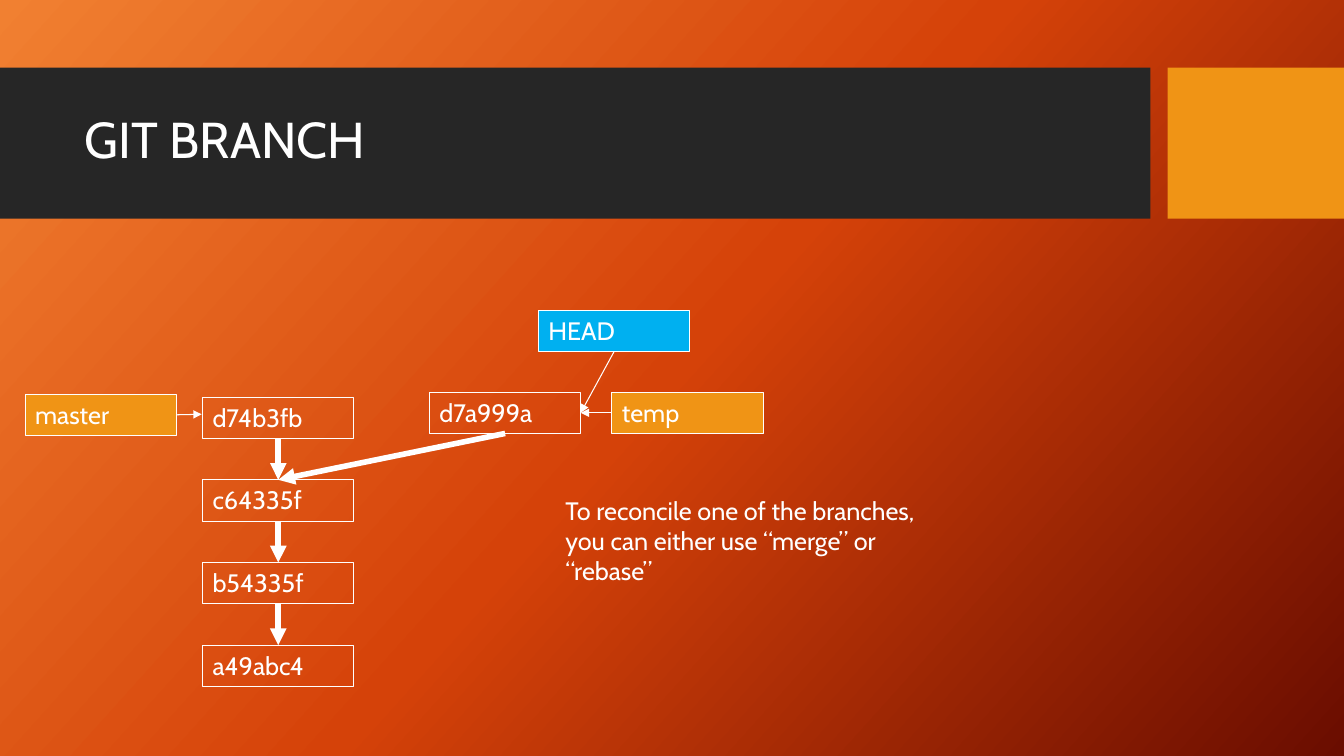
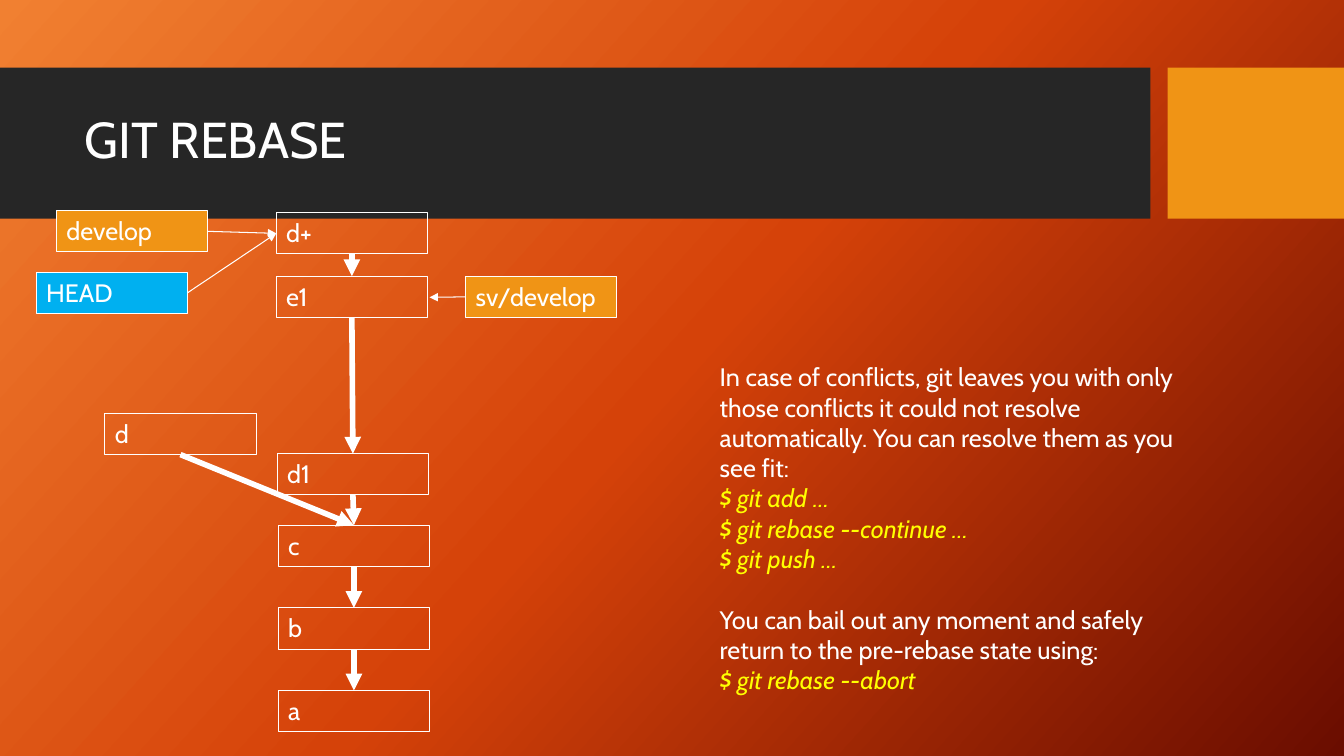
from copy import deepcopy

from lxml import etree
from pptx import Presentation
from pptx.dml.color import RGBColor
from pptx.enum.shapes import MSO_CONNECTOR, MSO_SHAPE
from pptx.enum.text import MSO_ANCHOR, MSO_AUTO_SIZE, PP_ALIGN
from pptx.oxml.ns import qn
from pptx.util import Inches, Pt

RECTANGLE = MSO_SHAPE.RECTANGLE
STRAIGHT = MSO_CONNECTOR.STRAIGHT
LEFT_ALIGN = PP_ALIGN.LEFT
TOP_ANCHOR, MIDDLE_ANCHOR = MSO_ANCHOR.TOP, MSO_ANCHOR.MIDDLE
GROW = MSO_AUTO_SIZE.SHAPE_TO_FIT_TEXT
TOP, LEFT, BOTTOM, RIGHT = range(4)

FONT = "Cabin"
WHITE, YELLOW, ORANGE, BLUE, DARK = "FFFFFF", "FFFF00", "F09415", "00B0F0", "262626"
GRADIENT = [(0, "F18031"), (0.5, "D54209"), (1, "6A0D00")]
GRADIENT_ANGLE = 360 - 42
BANDS = [((0, 0.67, 11.41, 1.5), DARK), ((11.58, 0.67, 1.75, 1.5), ORANGE)]
TITLE_BOX = (0.74, 0.82, 10.51, 1.18)
BOX_SIZE = (1.5, 0.41)
ROW_STEP = 0.82
THIN, THICK = 0.75, 4
LINE_HEIGHT = 21.9

TITLE_FORMAT = {"size": Pt(36), "name": FONT}
BODY_FORMAT = {"size": Pt(18), "name": FONT}
COMMAND_FORMAT = {**BODY_FORMAT, "italic": True}


def column(names, left, top):
    return [(name, left, round(top + row * ROW_STEP, 2), None) for row, name in enumerate(names)]


SLIDES = [
    {
        "title": "GIT BRANCH",
        "boxes": column(["d74b3fb", "c64335f", "b54335f", "a49abc4"], 2.01, 3.94) + [
            ("d7a999a", 4.26, 3.89, None),
            ("master", 0.25, 3.91, ORANGE),
            ("temp", 6.07, 3.89, ORANGE),
            ("HEAD", 5.34, 3.08, BLUE),
        ],
        "parents": [("d74b3fb", "c64335f"), ("c64335f", "b54335f"),
                    ("b54335f", "a49abc4"), ("d7a999a", "c64335f")],
        "pointers": [("master", RIGHT, (2.0, 4.11), LEFT),
                     ("temp", LEFT, "d7a999a", RIGHT),
                     ("HEAD", BOTTOM, "d7a999a", RIGHT)],
        "note_box": (5.51, 4.86, 3.87, 1.01),
        "note": [("To reconcile one of the branches, you can either use “merge” or “rebase”", False, 0)],
    },
    {
        "title": "GIT REBASE",
        "boxes": column(["c", "b", "a"], 2.76, 5.21) + [
            ("d1", 2.75, 4.5, None),
            ("e1", 2.74, 2.74, None),
            ("d+", 2.74, 2.11, None),
            ("d", 1.04, 4.1, None),
            ("develop", 0.56, 2.09, ORANGE),
            ("sv/develop", 4.62, 2.74, ORANGE),
            ("HEAD", 0.36, 2.7, BLUE),
        ],
        "parents": [("d+", "e1"), ("e1", "d1"), ("d1", "c"), ("d", "c"), ("c", "b"), ("b", "a")],
        "pointers": [("develop", RIGHT, "d+", LEFT),
                     ("HEAD", RIGHT, "d+", LEFT),
                     ("sv/develop", LEFT, (4.26, 2.95), RIGHT)],
        "note_box": (7.04, 3.54, 5.03, 3.43),
        "note": [
            ("In case of conflicts, git leaves you with only those conflicts it could not "
             "resolve automatically. You can resolve them as you see fit:", False, 0),
            ("$ git add …", True, 0),
            ("$ git rebase --continue …", True, 0),
            ("$ git push …", True, 0),
            ("You can bail out any moment and safely return to the pre-rebase state using:",
             False, LINE_HEIGHT),
            ("$ git rebase --abort", True, 0),
        ],
    },
]


def rgb(value):
    return RGBColor.from_string(value)


def lengths(values):
    return [Inches(value) for value in values]


def write(paragraph, text, formats, color):
    paragraph.alignment = LEFT_ALIGN
    run = paragraph.add_run()
    run.text = text
    for name, value in formats.items():
        setattr(run.font, name, value)
    run.font.color.rgb = rgb(color)


def set_frame(frame, anchor, auto_size=None):
    frame.word_wrap = True
    frame.vertical_anchor = anchor
    if auto_size is not None:
        frame.auto_size = auto_size


def add_rectangle(slide, box, fill=None, line=None):
    shape = slide.shapes.add_shape(RECTANGLE, *lengths(box))
    shape.shadow.inherit = False
    if fill:
        shape.fill.solid()
        shape.fill.fore_color.rgb = rgb(fill)
    else:
        shape.fill.background()
    if line:
        shape.line.color.rgb = rgb(line)
        shape.line.width = Pt(THIN)
    else:
        shape.line.fill.background()
    return shape


def add_box(slide, name, left, top, fill):
    shape = add_rectangle(slide, (left, top, *BOX_SIZE), fill, WHITE)
    set_frame(shape.text_frame, TOP_ANCHOR, GROW)
    write(shape.text_frame.paragraphs[0], name, BODY_FORMAT, WHITE)
    return shape


def add_arrow(slide, boxes, source, source_side, target, target_side, width):
    end = lengths(target) if isinstance(target, tuple) else (0, 0)
    connector = slide.shapes.add_connector(STRAIGHT, 0, 0, *end)
    connector.begin_connect(boxes[source], source_side)
    if target in boxes:
        connector.end_connect(boxes[target], target_side)
    connector.line.color.rgb = rgb(WHITE)
    connector.line.width = Pt(width)
    outline = connector.line._get_or_add_ln()
    etree.SubElement(outline, qn("a:tailEnd"), type="triangle")
    etree.SubElement(connector.element.spPr, qn("a:effectLst"))


def add_note(slide, box, lines):
    frame = slide.shapes.add_textbox(*lengths(box)).text_frame
    set_frame(frame, TOP_ANCHOR, GROW)
    for index, (text, is_command, gap) in enumerate(lines):
        paragraph = frame.add_paragraph() if index else frame.paragraphs[0]
        paragraph.space_before = Pt(gap)
        write(paragraph, text, COMMAND_FORMAT if is_command else BODY_FORMAT,
              YELLOW if is_command else WHITE)


def set_title(slide, text):
    title = slide.shapes.title
    title.left, title.top, title.width, title.height = lengths(TITLE_BOX)
    set_frame(title.text_frame, MIDDLE_ANCHOR)
    paragraph = title.text_frame.paragraphs[0]
    paragraph.line_spacing = 0.9
    write(paragraph, text, TITLE_FORMAT, WHITE)


def set_background(master):
    fill = master.background.fill
    fill.gradient()
    fill.gradient_angle = GRADIENT_ANGLE
    stop_list = master.element.find(".//" + qn("p:bg")).find(".//" + qn("a:gsLst"))
    stop_list.append(deepcopy(stop_list[-1]))
    for stop, (position, color) in zip(fill.gradient_stops, GRADIENT):
        stop.position = position
        stop.color.rgb = rgb(color)


def add_bands(slide, layout):
    for number, (box, color) in enumerate(BANDS, 20):
        band = add_rectangle(slide, box, color)
        band.element.nvSpPr.cNvPr.set("id", str(number))
        layout.shapes.element.append(band.element)


presentation = Presentation()
presentation.slide_width, presentation.slide_height = lengths((13.33, 7.5))
title_only = presentation.slide_layouts[5]
set_background(presentation.slide_master)

for index, content in enumerate(SLIDES):
    slide = presentation.slides.add_slide(title_only)
    if index == 0:
        add_bands(slide, title_only)
    set_title(slide, content["title"])
    boxes = {box[0]: add_box(slide, *box) for box in content["boxes"]}
    for child, parent in content["parents"]:
        add_arrow(slide, boxes, child, BOTTOM, parent, TOP, THICK)
    for pointer in content["pointers"]:
        add_arrow(slide, boxes, *pointer, THIN)
    add_note(slide, content["note_box"], content["note"])

presentation.save("out.pptx")
